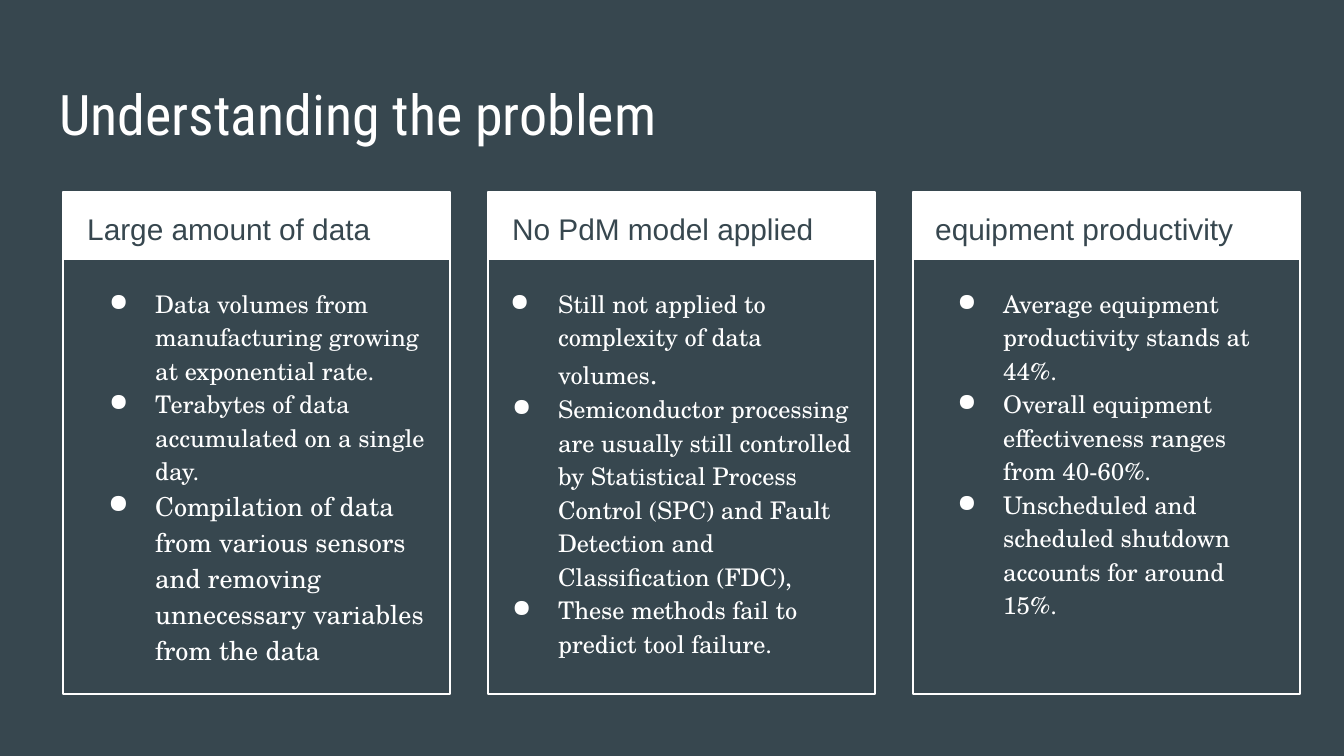
from dataclasses import dataclass

from lxml import etree
from pptx import Presentation
from pptx import util as u
from pptx.dml.color import RGBColor
from pptx.enum import shapes, text
from pptx.oxml.ns import qn

EMU_PER_PX = 9144000 / 1344


@dataclass(frozen=True)
class Theme:
    dark: RGBColor = RGBColor(0x37, 0x47, 0x4F)
    light: RGBColor = RGBColor(0xFF, 0xFF, 0xFF)
    title_font: str = "Roboto Condensed"
    heading_font: str = "Arial"
    body_font: str = "TeX Gyre Schola"
    title_size: int = 30
    heading_size: int = 16
    body_size: int = 13
    large_body_size: int = 14
    full_stop_size: int = 15
    outline: float = 0.75
    line_spacing: float = 1.15


THEME = Theme()


@dataclass(frozen=True)
class Box:
    left: int
    top: int
    width: int
    height: int


@dataclass(frozen=True)
class Bullet:
    words: str
    size: int = THEME.body_size
    hanging: int = 46
    full_stop: str = ""


@dataclass(frozen=True)
class Card:
    heading: str
    bullets: tuple[Bullet, ...]
    heading_offset: int = 11
    body_offset: int = 12
    body_width: int = 364


CARD_LEFT, CARD_TOP, CARD_PITCH = 63, 192, 425
CARD_WIDTH, CARD_HEIGHT, HEADER_HEIGHT = 387, 502, 68
TEXT_INDENT = 67

CARDS = (
    Card("Large amount of data", (
        Bullet("Data volumes from manufacturing growing at exponential rate."),
        Bullet("Terabytes of data accumulated on a single day."),
        Bullet("Compilation of data from various sensors and removing "
               "unnecessary variables from the data", THEME.large_body_size, 47),
    )),
    Card("No PdM model applied", (
        Bullet("Still not applied to complexity of data volumes", hanging=48, full_stop="."),
        Bullet("Semiconductor processing are usually still controlled by Statistical "
               "Process Control (SPC) and Fault Detection and Classification (FDC),"),
        Bullet("These methods fail to predict tool failure."),
    ), body_offset=-10, body_width=387),
    Card("equipment productivity", (
        Bullet("Average equipment productivity stands at 44%."),
        Bullet("Overall equipment effectiveness ranges from 40-60%."),
        Bullet("Unscheduled and scheduled shutdown accounts for around 15%."),
    ), heading_offset=9, body_offset=10),
)


def px(length: int) -> u.Emu:
    return u.Emu(round(length * EMU_PER_PX))


def place(box: Box) -> tuple[u.Emu, ...]:
    return px(box.left), px(box.top), px(box.width), px(box.height)


def add_rectangle(slide, box: Box, filled: bool) -> None:
    shape = slide.shapes.add_shape(shapes.MSO_SHAPE.RECTANGLE, *place(box))
    shape.shadow.inherit = False
    if filled:
        shape.fill.solid()
        shape.fill.fore_color.rgb = THEME.light
        shape.line.fill.background()
    else:
        shape.fill.background()
        shape.line.color.rgb = THEME.light
        shape.line.width = u.Pt(THEME.outline)


def add_text_frame(slide, box: Box):
    frame = slide.shapes.add_textbox(*place(box)).text_frame
    frame.word_wrap = True
    frame.vertical_anchor = text.MSO_ANCHOR.TOP
    frame.margin_left = frame.margin_right = u.Inches(0.1)
    frame.margin_top = frame.margin_bottom = u.Inches(0.1)
    return frame


def style_font(font, name: str, size: int, color: RGBColor) -> None:
    font.name = name
    font.size = u.Pt(size)
    font.color.rgb = color


def add_line(slide, box: Box, words: str, name: str, size: int,
             color: RGBColor, spacing: float = 1.0) -> None:
    paragraph = add_text_frame(slide, box).paragraphs[0]
    paragraph.text = words
    paragraph.line_spacing = spacing
    style_font(paragraph.font, name, size, color)


def add_bullet_mark(paragraph, hanging: int) -> None:
    properties = paragraph._p.get_or_add_pPr()
    properties.set("marL", str(px(TEXT_INDENT)))
    properties.set("indent", str(-px(hanging)))
    color = etree.Element(qn("a:buClr"))
    etree.SubElement(color, qn("a:srgbClr"), val=str(THEME.light))
    mark = etree.Element(qn("a:buChar"), char="●")
    spacing = properties.find(qn("a:lnSpc"))
    spacing.addnext(color)
    color.addnext(mark)


def add_bullets(slide, box: Box, bullets: tuple[Bullet, ...]) -> None:
    frame = add_text_frame(slide, box)
    for index, bullet in enumerate(bullets):
        paragraph = frame.add_paragraph() if index else frame.paragraphs[0]
        paragraph.line_spacing = THEME.line_spacing
        add_bullet_mark(paragraph, bullet.hanging)
        style_font(paragraph.font, THEME.body_font, bullet.size, THEME.light)
        paragraph.add_run().text = bullet.words
        if bullet.full_stop:
            run = paragraph.add_run()
            run.text = bullet.full_stop
            run.font.size = u.Pt(THEME.full_stop_size)


def add_card(slide, card: Card, left: int) -> None:
    add_rectangle(slide, Box(left, CARD_TOP, CARD_WIDTH, HEADER_HEIGHT), filled=True)
    add_rectangle(slide, Box(left, CARD_TOP, CARD_WIDTH, CARD_HEIGHT), filled=False)
    add_line(slide, Box(left + card.heading_offset, CARD_TOP, 367, 67), card.heading,
             THEME.heading_font, THEME.heading_size, THEME.dark, THEME.line_spacing)
    add_bullets(slide, Box(left + card.body_offset, 271, card.body_width, 411), card.bullets)


def main() -> None:
    presentation = Presentation()
    presentation.slide_width, presentation.slide_height = px(1344), px(756)
    slide = presentation.slides.add_slide(presentation.slide_layouts[6])
    slide.background.fill.solid()
    slide.background.fill.fore_color.rgb = THEME.dark
    add_line(slide, Box(46, 66, 1252, 85), "Understanding the problem",
             THEME.title_font, THEME.title_size, THEME.light)
    for index, card in enumerate(CARDS):
        add_card(slide, card, CARD_LEFT + index * CARD_PITCH)
    presentation.save("out.pptx")


if __name__ == "__main__":
    main()
